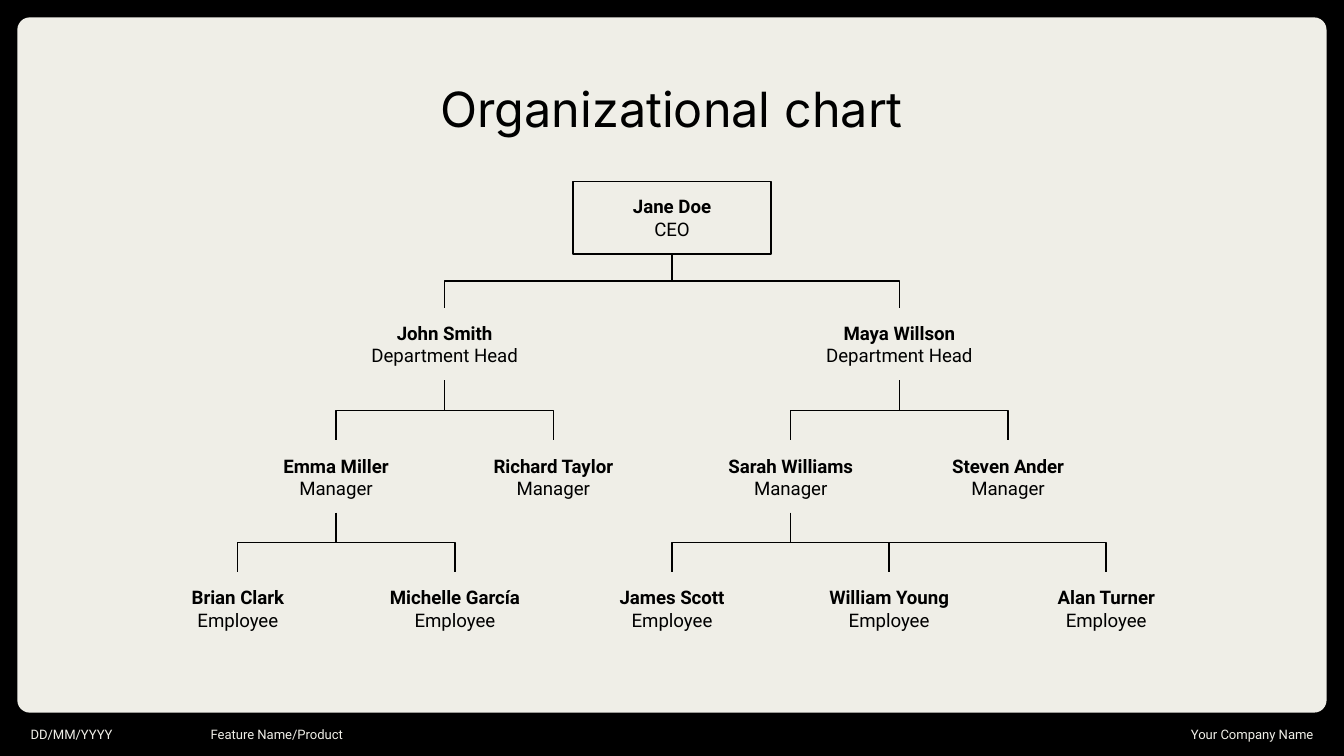
from lxml import etree
from pptx import Presentation
from pptx.dml.color import RGBColor
from pptx.enum.shapes import MSO_CONNECTOR, MSO_SHAPE
from pptx.enum.text import MSO_ANCHOR, MSO_AUTO_SIZE, PP_ALIGN
from pptx.oxml.ns import qn
from pptx.util import Pt

INK, PAPER = "000000", "EFEEE7"
NODE_H = 38.8
STEP = 116.3
CENTRE = 360
ROWS = [97.2, 165, 236, 306.7]
WIDTHS = [106, 106, 93, 93]
ROLES = ["CEO", "Department Head", "Manager", "Employee"]
TREE = ("Jane Doe", 0, [
    ("John Smith", -121.8, [
        ("Emma Miller", -180, [
            ("Brian Clark", -2 * STEP, []),
            ("Michelle García", -STEP, []),
        ]),
        ("Richard Taylor", -63.6, []),
    ]),
    ("Maya Willson", 121.8, [
        ("Sarah Williams", 63.6, [
            ("James Scott", 0, []),
            ("William Young", STEP, []),
            ("Alan Turner", 2 * STEP, []),
        ]),
        ("Steven Ander", 180, []),
    ]),
])


def color(value):
    return RGBColor.from_string(value)


def set_text(tf, lines, font, size, fill, align, anchor):
    tf.word_wrap = True
    tf.auto_size = MSO_AUTO_SIZE.NONE
    tf.vertical_anchor = anchor
    tf.margin_left = tf.margin_right = tf.margin_top = tf.margin_bottom = Pt(7.2)
    for i, (text, bold) in enumerate(lines):
        p = tf.paragraphs[0] if i == 0 else tf.add_paragraph()
        p.alignment = align
        r = p.add_run()
        r.text = text
        r.font.name = font
        r.font.size = Pt(size)
        r.font.bold = bold
        r.font.color.rgb = color(fill)


def add_panel(s, x, y, w, h):
    sp = s.shapes.add_shape(MSO_SHAPE.ROUNDED_RECTANGLE, Pt(x), Pt(y), Pt(w), Pt(h))
    sp.adjustments[0] = 0.018
    sp.shadow.inherit = False
    sp.fill.solid()
    sp.fill.fore_color.rgb = color(PAPER)
    sp.line.fill.background()
    s.shapes.element.insert(2, sp.element)


def add_title(s, text, x, y, w, h):
    sp = s.shapes.title
    sp.left, sp.top, sp.width, sp.height = Pt(x), Pt(y), Pt(w), Pt(h)
    set_text(sp.text_frame, [(text, False)], "Inter", 26, INK, PP_ALIGN.CENTER, MSO_ANCHOR.TOP)


def add_elbow(s, x1, y1, x2, y2):
    mid_x, mid_y = (x1 + x2) / 2, (y1 + y2) / 2
    half_w, half_h = (y2 - y1) / 2, abs(x2 - x1) / 2
    side = half_w if x2 > x1 else -half_w
    line = s.shapes.add_connector(MSO_CONNECTOR.ELBOW, Pt(mid_x + side), Pt(mid_y - half_h),
                                  Pt(mid_x - side), Pt(mid_y + half_h))
    line.line.color.rgb = color(INK)
    line.line.width = Pt(0.75)
    sp_pr = line.element.spPr
    sp_pr.find(qn("a:xfrm")).set("rot", "16200000" if x2 > x1 else "5400000")
    etree.SubElement(sp_pr, qn("a:effectLst"))


def add_node(s, name, role, x, y, w, h, framed):
    if framed:
        sp = s.shapes.add_shape(MSO_SHAPE.RECTANGLE, Pt(x), Pt(y), Pt(w), Pt(h))
        sp.shadow.inherit = False
        sp.fill.background()
        sp.line.color.rgb = color(INK)
        sp.line.width = Pt(0.75)
    else:
        sp = s.shapes.add_textbox(Pt(x), Pt(y), Pt(w), Pt(h))
    set_text(sp.text_frame, [(name, True), (role, False)], "Roboto", 10, INK,
             PP_ALIGN.CENTER, MSO_ANCHOR.MIDDLE)


def add_branch(s, node, centre, level=0):
    name, offset, reports = node
    x, y, w = centre + offset, ROWS[level], WIDTHS[level]
    for report in reports:
        add_elbow(s, x, y + NODE_H, centre + report[1], ROWS[level + 1])
    add_node(s, name, ROLES[level], x - w / 2, y, w, NODE_H, level == 0)
    for report in reports:
        add_branch(s, report, centre, level + 1)


def add_footer(s, x, y, w, h):
    col = 96.5
    for left, text, align in [
        (x, "DD/MM/YYYY", PP_ALIGN.LEFT),
        (x + col, "Feature Name/Product", PP_ALIGN.LEFT),
        (x + w - col, "Your Company Name", PP_ALIGN.RIGHT),
    ]:
        sp = s.shapes.add_textbox(Pt(left), Pt(y), Pt(col), Pt(h))
        set_text(sp.text_frame, [(text, False)], "Roboto", 7, PAPER, align, MSO_ANCHOR.BOTTOM)


def main():
    prs = Presentation()
    prs.slide_width, prs.slide_height = Pt(720), Pt(405)
    s = prs.slides.add_slide(prs.slide_layouts[5])
    s.background.fill.solid()
    s.background.fill.fore_color.rgb = color(INK)
    add_panel(s, 9.3, 9.3, 701.4, 372.5)
    add_title(s, "Organizational chart", 56.7, 35.3, 606.6, 45.4)
    add_branch(s, TREE, CENTRE)
    add_footer(s, 9.3, 382, 701.4, 23)
    prs.save("out.pptx")


if __name__ == "__main__":
    main()
